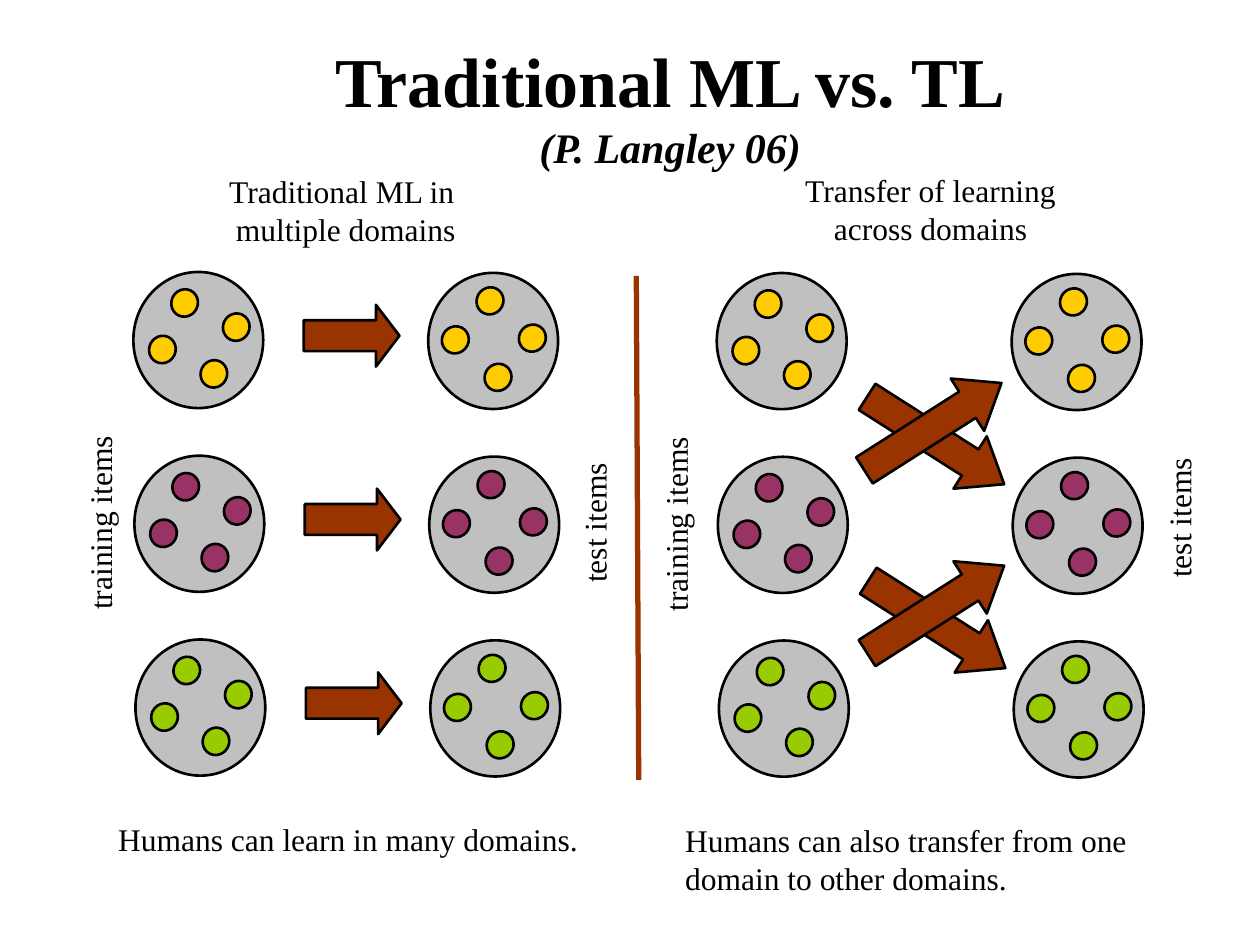
from lxml import etree
from pptx import Presentation
from pptx.dml.color import RGBColor
from pptx.enum import shapes, text
from pptx.oxml.ns import qn
from pptx.util import Pt

BLACK = RGBColor(0x00, 0x00, 0x00)
GRAY = RGBColor(0xC0, 0xC0, 0xC0)
BROWN = RGBColor(0x99, 0x33, 0x00)
DOMAIN_COLORS = [
    RGBColor(0xFF, 0xCC, 0x00),
    RGBColor(0x99, 0x33, 0x66),
    RGBColor(0x99, 0xCC, 0x00),
]
FONT = "Times New Roman"

PANEL_LEFTS = [74.4, 407.8]
PANEL_TOPS = [157.2, 157.8]
ROW_SHIFT, ROW_PITCH = 0.6, 105
TEST_SHIFT = 168.5
TRAINING_DOTS = [(10.5, 35), (23.2, 8.4), (39.9, 48.9), (52.7, 22.2)]
TEST_DOTS = [(9.4, 29), (29.2, 6.7), (33.8, 50.4), (53.4, 28)]


def style_run(span, size, bold=None, italic=None):
    span.font.name = FONT
    span.font.size = Pt(size)
    span.font.bold = bold
    span.font.italic = italic
    span.font.color.rgb = BLACK


def add_figure(page, kind, box, fill, turn=0):
    """Add an outlined preset shape; box is left, top, width, height before turning."""
    figure = page.shapes.add_shape(kind, *map(Pt, box))
    figure.shadow.inherit = False
    figure.fill.solid()
    figure.fill.fore_color.rgb = fill
    figure.line.color.rgb = BLACK
    figure.line.width = Pt(1.5)
    figure.rotation = turn
    return figure


def add_arrow(page, box, head, turn=0):
    arrow = add_figure(page, shapes.MSO_SHAPE.RIGHT_ARROW, box, BROWN, turn)
    arrow.adjustments[0] = 0.5
    arrow.adjustments[1] = head


def add_item_set(page, left, top, dots, color, dot_turn):
    """Add a gray circle holding the items of one domain."""
    oval = shapes.MSO_SHAPE.OVAL
    add_figure(page, oval, (left, top, 77.8, 74.2), GRAY, 90)
    for x, y in dots:
        add_figure(page, oval, (left + x, top + y, 15.8, 15.1), color, dot_turn)


def add_domains(page, panel_left, panel_top):
    for row, color in enumerate(DOMAIN_COLORS):
        left = panel_left + row * ROW_SHIFT
        top = panel_top + row * ROW_PITCH
        add_item_set(page, left, top, TRAINING_DOTS, color, 115.6)
        add_item_set(page, left + TEST_SHIFT, top + 0.5, TEST_DOTS, color, 131.5)


def add_straight_arrows(page):
    for row in range(len(DOMAIN_COLORS)):
        left = PANEL_LEFTS[0] + 99.2 + row * ROW_SHIFT
        top = PANEL_TOPS[0] + 17 + row * ROW_PITCH
        add_arrow(page, (left, top, 54.7, 35.3), 0.38)


def add_crossing_arrows(page):
    for left, top, turn in [
        (488.9, 339.1, 32.5),
        (488.2, 234, 32.5),
        (486.7, 226.1, 327.5),
        (488.2, 330.5, 327.5),
    ]:
        add_arrow(page, (left, top, 92.9, 35.5), 0.65, turn)


def add_divider(page):
    divider = page.shapes.add_connector(
        shapes.MSO_CONNECTOR.STRAIGHT, Pt(363.6), Pt(157.7), Pt(365), Pt(445.7)
    )
    divider.line.color.rgb = BROWN
    divider.line.width = Pt(3)
    etree.SubElement(divider._element.spPr, qn("a:effectLst"))


def add_label(page, box, lines, align=text.PP_ALIGN.CENTER, turn=0, wrap=False):
    label = page.shapes.add_textbox(*map(Pt, box))
    label.rotation = turn
    frame = label.text_frame
    frame.word_wrap = wrap
    for number, line in enumerate(lines):
        para = frame.add_paragraph() if number else frame.paragraphs[0]
        para.alignment = align
        span = para.add_run()
        span.text = line
        style_run(span, 18)


def fill_title(page):
    title = page.shapes.title
    title.left, title.top, title.width, title.height = map(Pt, (87.8, 15.1, 590.4, 90))
    frame = title.text_frame
    frame.auto_size = text.MSO_AUTO_SIZE.NONE
    frame.vertical_anchor = text.MSO_ANCHOR.MIDDLE
    para = frame.paragraphs[0]
    para.alignment = text.PP_ALIGN.CENTER
    span = para.add_run()
    span.text = "Traditional ML vs. TL"
    style_run(span, 40, bold=True)
    para.add_line_break()
    span = para.add_run()
    span.text = "(P. Langley 06)"
    style_run(span, 24, bold=True, italic=True)


def add_labels(page):
    add_label(page, (123.1, 95, 149, 50.4), ["Traditional ML in ", "multiple domains"])
    add_label(page, (448.6, 94.3, 166.3, 50.4),
              ["Transfer of learning", "across domains"], wrap=True)
    for left, top, width, words in [
        (0, 284.4, 113.8, "training items"),
        (298.1, 284.4, 82.8, "test items"),
        (329, 285.1, 113.8, "training items"),
        (632.2, 281.5, 82.8, "test items"),
    ]:
        add_label(page, (left, top, width, 28.8), [words], turn=270)
    left_align = text.PP_ALIGN.LEFT
    add_label(page, (60.5, 465.1, 300.2, 28.8),
              ["Humans can learn in many domains."], left_align, wrap=True)
    add_label(page, (384.5, 465.8, 313.9, 50.4),
              ["Humans can also transfer from one domain to other domains."],
              left_align, wrap=True)


def main():
    deck = Presentation()
    deck.slide_width, deck.slide_height = Pt(720), Pt(540)
    page = deck.slides.add_slide(deck.slide_layouts[5])
    fill_title(page)
    for left, top in zip(PANEL_LEFTS, PANEL_TOPS):
        add_domains(page, left, top)
    add_straight_arrows(page)
    add_crossing_arrows(page)
    add_divider(page)
    add_labels(page)
    deck.save("out.pptx")


if __name__ == "__main__":
    main()
